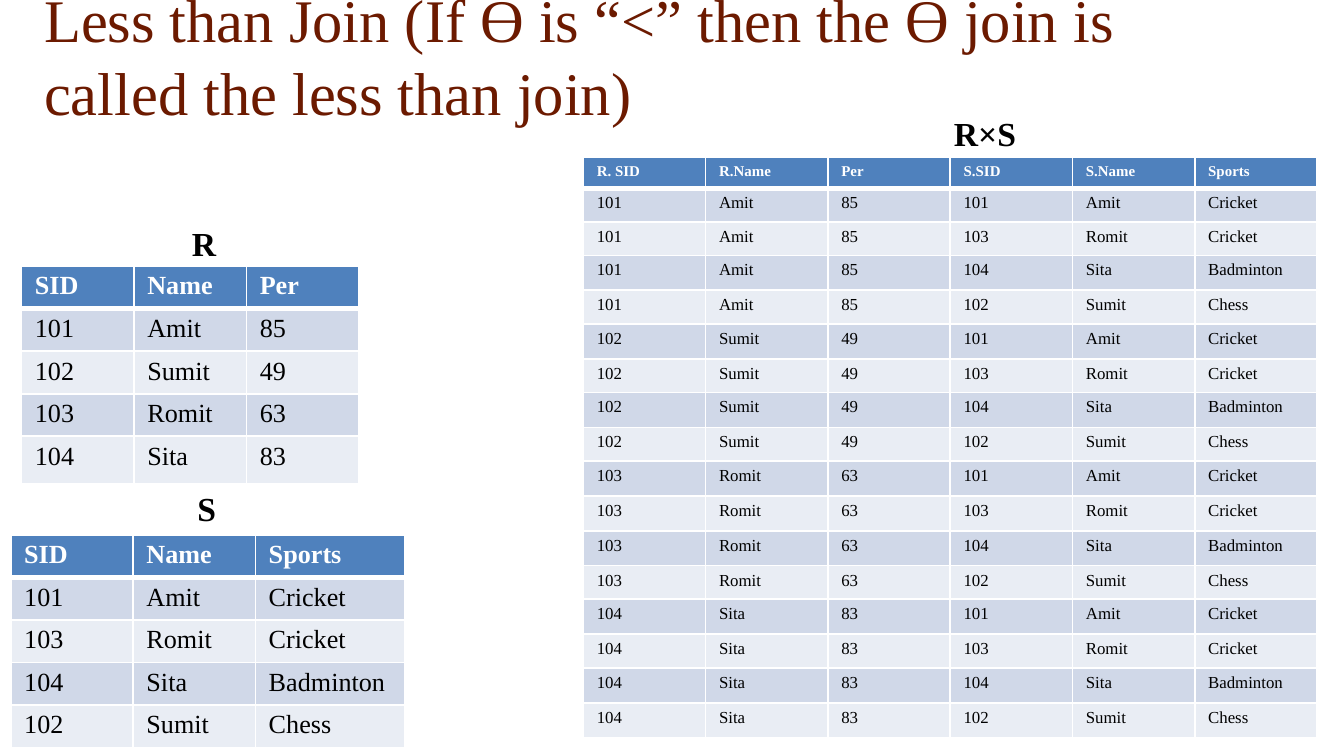
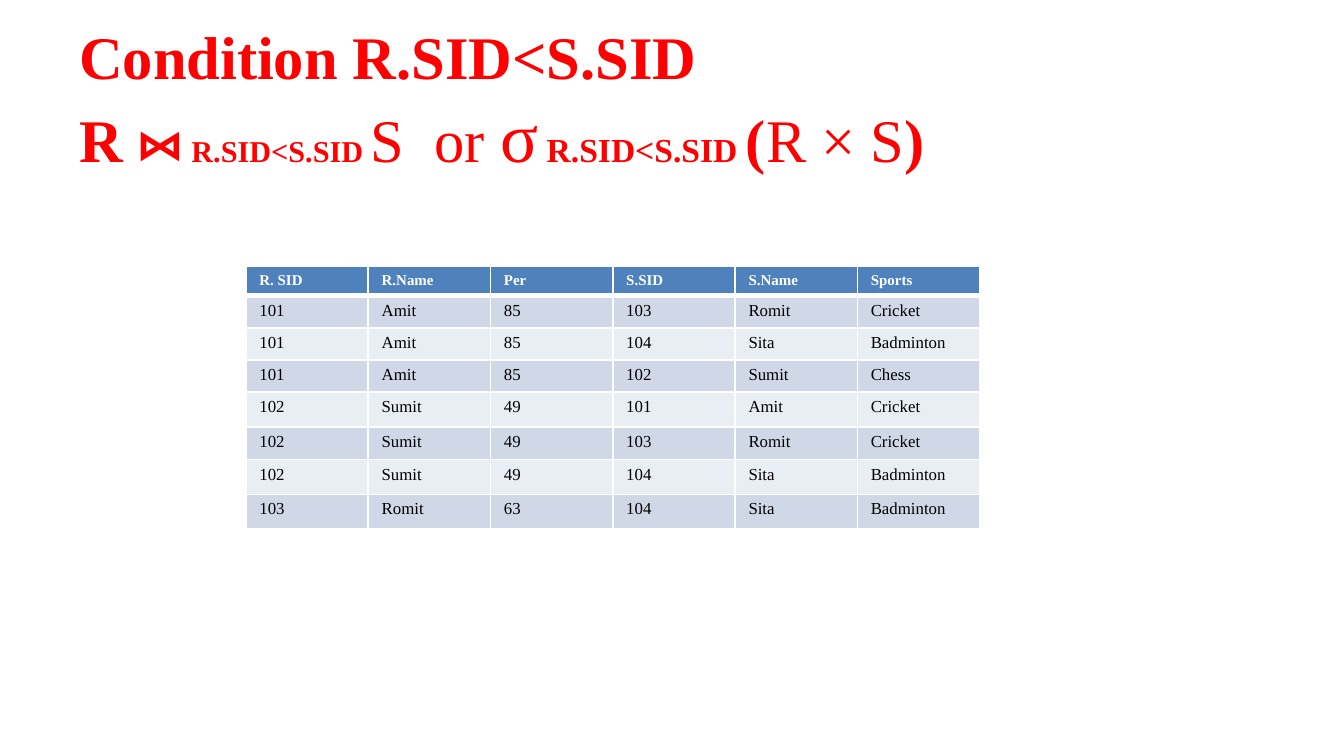
from itertools import product

from lxml.etree import SubElement
from pptx import Presentation
from pptx.dml.color import RGBColor
from pptx.enum.text import MSO_ANCHOR as Anchor
from pptx.oxml.ns import qn
from pptx.util import Inches, Pt

FONT = "Times New Roman"
WHITE, BLACK, BROWN, RED = "FFFFFF", "000000", "6C1A00", "FF0000"
HEADER, BANDS = "4F81BD", ("D0D8E8", "E9EDF4")
TITLE_SIZE = 32.4

STUDENTS = [("101", "Amit", "85"), ("102", "Sumit", "49"),
            ("103", "Romit", "63"), ("104", "Sita", "83")]
SPORTS = [("101", "Amit", "Cricket"), ("103", "Romit", "Cricket"),
          ("104", "Sita", "Badminton"), ("102", "Sumit", "Chess")]
JOINED_HEADINGS = ("R. SID", "R.Name", "Per", "S.SID", "S.Name", "Sports")
JOINED_WIDTHS = [5.46 / 6] * 6
SELECTED = [("101", "103"), ("101", "104"), ("101", "102"), ("102", "101"),
            ("102", "103"), ("102", "104"), ("103", "104")]


def color(value):
    return RGBColor.from_string(value)


def write(paragraph, text, size=18, ink=BLACK, bold=False):
    for index, line in enumerate(text.split("\n")):
        if index:
            paragraph.add_line_break()
        run = paragraph.add_run()
        run.text = line
        run.font.name = FONT
        run.font.size = Pt(size)
        run.font.bold = bold
        run.font.color.rgb = color(ink)


def add_frame(slide, left, top, width, height):
    frame = slide.shapes.add_textbox(
        Inches(left), Inches(top), Inches(width), Inches(height)).text_frame
    frame.word_wrap = True
    return frame


def add_title(slide, left, top, ink, parts):
    frame = add_frame(slide, left, top, 9.02, 0.84)
    frame.vertical_anchor = Anchor.MIDDLE
    for text, size, bold in parts:
        write(frame.paragraphs[0], text, size=size, ink=ink, bold=bold)


def add_label(slide, left, top, text):
    frame = add_frame(slide, left, top, 0.67, 0.4)
    write(frame.paragraphs[0], text, bold=True)


def add_borders(cell, bottom):
    properties = cell._tc.get_or_add_tcPr()
    for side, weight in (("L", 1), ("R", 1), ("T", 1), ("B", bottom)):
        line = SubElement(properties, qn(f"a:ln{side}"), w=str(Pt(weight)))
        fill = SubElement(line, qn("a:solidFill"))
        SubElement(fill, qn("a:srgbClr"), val=WHITE)


def add_relation(slide, left, top, widths, heights, headings, records,
                 heading_size=14, size=14):
    rows = [headings, *records]
    table = slide.shapes.add_table(
        len(rows), len(widths), Inches(left), Inches(top),
        Inches(sum(widths)), Inches(sum(heights))).table
    for column, width in zip(table.columns, widths):
        column.width = Inches(width)
    for index, (row, height, values) in enumerate(zip(table.rows, heights, rows)):
        row.height = Inches(height)
        is_heading = index == 0
        for cell, value in zip(row.cells, values):
            cell.margin_left = cell.margin_right = Inches(0.1)
            cell.margin_top = cell.margin_bottom = Pt(3)
            add_borders(cell, bottom=3 if is_heading else 1)
            cell.fill.solid()
            cell.fill.fore_color.rgb = color(
                HEADER if is_heading else BANDS[(index - 1) % 2])
            write(cell.text_frame.paragraphs[0], value,
                  size=heading_size if is_heading else size,
                  ink=WHITE if is_heading else BLACK, bold=is_heading)


def add_joined(slide, left, top, heights, records):
    add_relation(slide, left, top, JOINED_WIDTHS, heights, JOINED_HEADINGS,
                 records, heading_size=8, size=9)


def add_product_slide(slide):
    add_title(slide, 0.23, -0.01, BROWN, [
        ("Less than Join (If ϴ is “<” then the ϴ join is called the less than join)",
         TITLE_SIZE, False)])
    add_relation(slide, 0.16, 1.98, [2.51 / 3] * 3, [0.31] * 4 + [0.35],
                 ("SID", "Name", "Per"), STUDENTS)
    add_relation(slide, 0.08, 3.98, [0.91, 0.91, 1.11], [0.31] * 4 + [0.32],
                 ("SID", "Name", "Sports"), SPORTS)
    add_label(slide, 1.33, 1.61, "R")
    add_label(slide, 1.37, 3.58, "S")
    add_label(slide, 7, 0.79, "R×S")
    heights = ([0.23, 0.25, 0.25, 0.26, 0.25] + [0.26, 0.25] * 2 + [0.26] * 3
               + [0.25, 0.26] * 2 + [0.26])
    add_joined(slide, 4.34, 1.17, heights,
               [student + sport for student, sport in product(STUDENTS, SPORTS)])


def add_condition_slide(slide):
    add_title(slide, 0.49, 0.31, RED, [
        ("Condition R.SID<S.SID\nR\u00a0⋈", TITLE_SIZE, True),
        (" ", 16.2, False),
        ("R.SID<S.SID ", 16.2, True),
        ("S  or ", TITLE_SIZE, False),
        ("σ", 37.8, False),
        (" R.SID<S.SID ", 18, True),
        ("(", TITLE_SIZE, True),
        ("R × S", TITLE_SIZE, False),
        (")", TITLE_SIZE, True)])
    student_by_id = {student[0]: student for student in STUDENTS}
    sport_by_id = {sport[0]: sport for sport in SPORTS}
    add_joined(slide, 1.83, 1.98, [0.22] + [0.24] * 3 + [0.26, 0.24, 0.26, 0.26],
               [student_by_id[r] + sport_by_id[s] for r, s in SELECTED])


def main():
    deck = Presentation()
    deck.slide_width = Inches(10)
    deck.slide_height = deck.slide_width * 9 // 16
    blank = deck.slide_layouts[6]
    for fill_slide in (add_product_slide, add_condition_slide):
        fill_slide(deck.slides.add_slide(blank))
    deck.save("out.pptx")


main()
